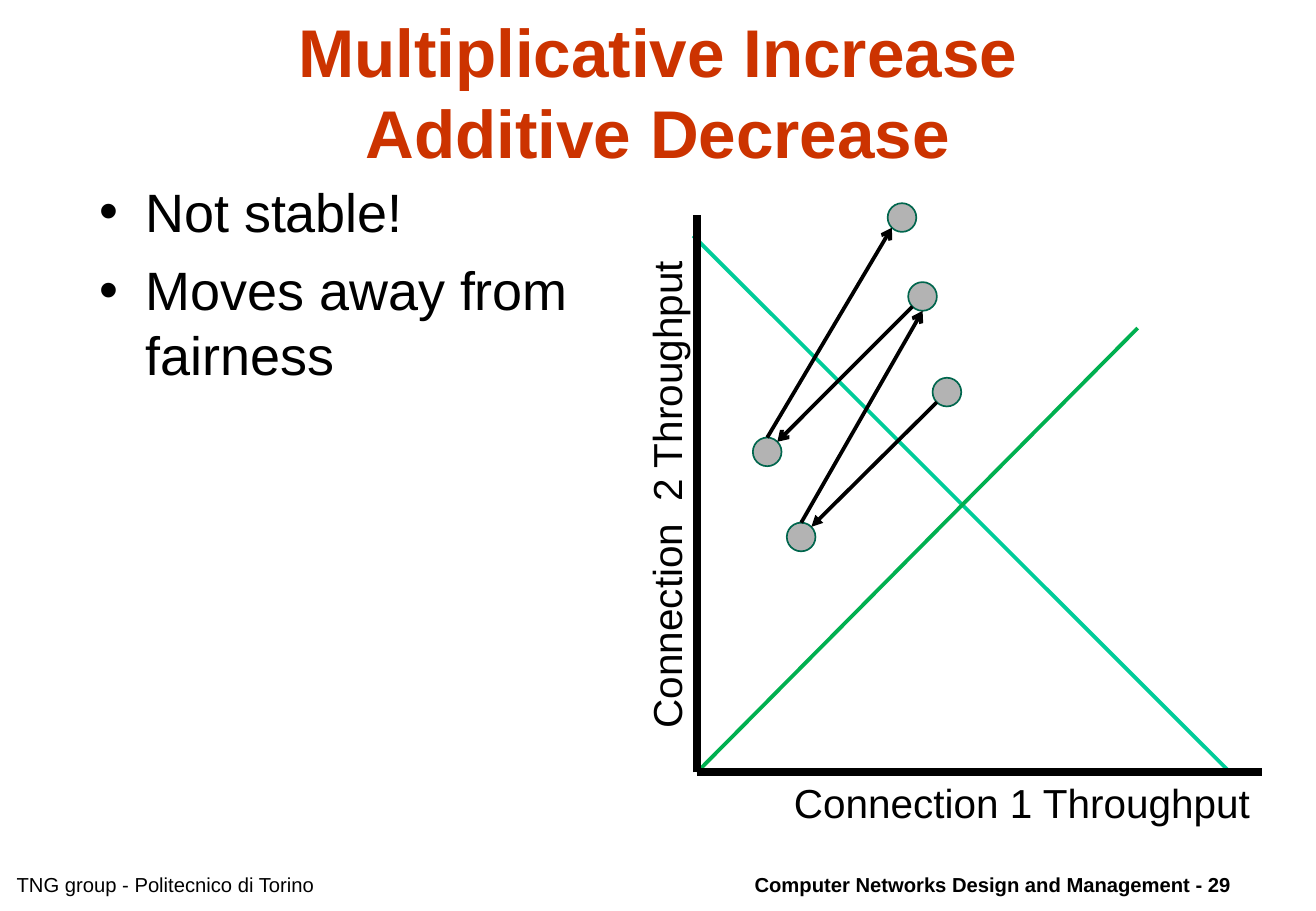
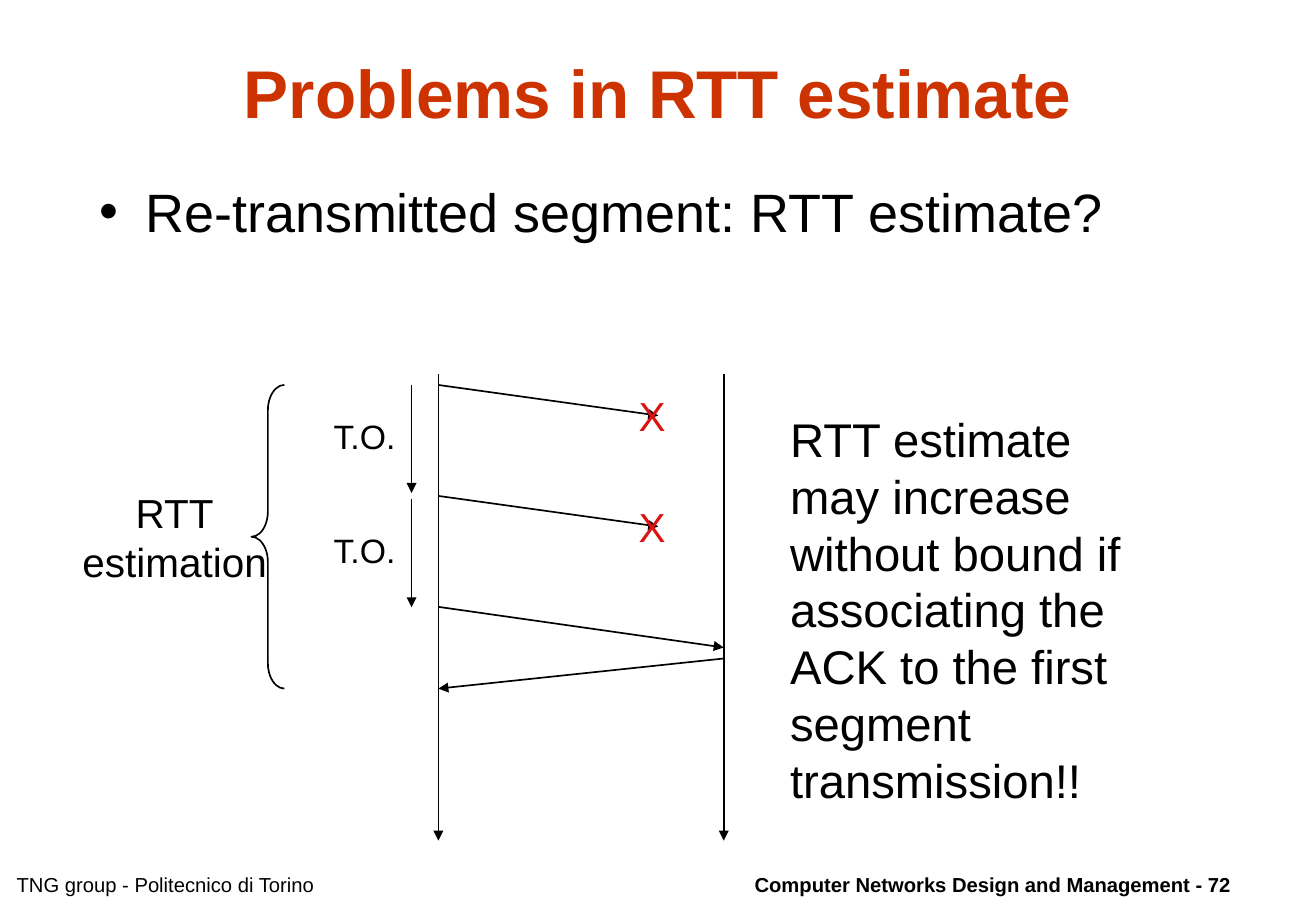
from dataclasses import dataclass
from enum import Enum
from math import sqrt
from typing import NamedTuple, Optional

from pptx import Presentation
from pptx.dml.color import RGBColor
from pptx.enum.shapes import MSO_CONNECTOR, MSO_SHAPE
from pptx.enum.text import MSO_ANCHOR, MSO_AUTO_SIZE, PP_ALIGN
from pptx.oxml.ns import qn
from pptx.shapes.autoshape import Shape
from pptx.shapes.connector import Connector
from pptx.slide import Slide
from pptx.text.text import TextFrame
from pptx.util import Cm, Pt
from lxml.etree import SubElement


@dataclass(frozen=True)
class Theme:
    font: str = "Arial"
    title: RGBColor = RGBColor(0xCC, 0x33, 0x00)
    ink: RGBColor = RGBColor(0x00, 0x00, 0x00)
    lost: RGBColor = RGBColor(0xDB, 0x13, 0x13)
    capacity: RGBColor = RGBColor(0x00, 0xCC, 0x99)
    fairness: RGBColor = RGBColor(0x00, 0xB0, 0x50)
    state_fill: RGBColor = RGBColor(0xB3, 0xB3, 0xB3)
    state_line: RGBColor = RGBColor(0x00, 0x66, 0x4D)
    title_size: float = 40
    body_size: float = 32
    remark_size: float = 28
    label_size: float = 24
    small_size: float = 20
    footer_size: float = 12
    thin: float = 1
    medium: float = 2.25
    thick: float = 4.5


THEME = Theme()


class Point(NamedTuple):
    x: float
    y: float


class Box(NamedTuple):
    left: float
    top: float
    width: float
    height: float


class Rim(Enum):
    """Direction from a circle's centre to a point on its rim."""
    TOP = Point(0, -1)
    BOTTOM = Point(0, 1)
    TOP_RIGHT = Point(sqrt(0.5), -sqrt(0.5))
    BOTTOM_LEFT = Point(-sqrt(0.5), sqrt(0.5))


class Move(NamedTuple):
    """Step from one state to the next."""
    leave: Rim
    arrive: Rim
    head: str


class Line(NamedTuple):
    start: Point
    end: Point
    color: RGBColor = THEME.ink
    width: float = THEME.thin
    head: Optional[str] = None


TITLE_BOX = Box(2.06, 0.64, 23.4, 2.54)
FOOTER_TOP, FOOTER_WIDTH, FOOTER_HEIGHT = 18.11, 11.35, 0.76
STATE_RADIUS = 0.3


def place(shape: Shape, box: Box) -> None:
    shape.left, shape.top, shape.width, shape.height = (Cm(value) for value in box)


def write(frame: TextFrame, *lines: str, size: float, color: RGBColor = THEME.ink,
          bold: bool = False, align: PP_ALIGN = PP_ALIGN.LEFT,
          space_before: float = 0) -> None:
    frame.auto_size = MSO_AUTO_SIZE.NONE
    for index, line in enumerate(lines):
        paragraph = frame.add_paragraph() if index else frame.paragraphs[0]
        paragraph.text = line
        paragraph.alignment = align
        paragraph.space_before = Pt(space_before)
        for run in paragraph.runs:
            run.font.name = THEME.font
            run.font.size = Pt(size)
            run.font.bold = bold
            run.font.color.rgb = color


def add_label(slide: Slide, box: Box, *lines: str, size: float = THEME.label_size,
              color: RGBColor = THEME.ink, bold: bool = False,
              align: PP_ALIGN = PP_ALIGN.LEFT, wrap: bool = False,
              rotation: float = 0) -> None:
    label = slide.shapes.add_textbox(*(Cm(value) for value in box))
    label.rotation = rotation
    write(label.text_frame, *lines, size=size, color=color, bold=bold, align=align)
    label.text_frame.word_wrap = wrap


def add_line(slide: Slide, line: Line) -> Connector:
    connector = slide.shapes.add_connector(
        MSO_CONNECTOR.STRAIGHT, *(Cm(value) for value in (*line.start, *line.end)))
    connector.line.color.rgb = line.color
    connector.line.width = Pt(line.width)
    properties = connector.element.spPr
    if line.head:
        SubElement(properties.find(qn("a:ln")), qn("a:tailEnd"), type=line.head)
    SubElement(properties, qn("a:effectLst"))
    return connector


def add_base_slide(presentation: Presentation, title: str, number: int,
                   body_box: Box, *bullets: str) -> Slide:
    """Adds a slide with its title, bullet list and footers."""
    slide = presentation.slides.add_slide(presentation.slide_layouts[1])
    heading, body = slide.shapes.title, slide.placeholders[1]
    place(heading, TITLE_BOX)
    write(heading.text_frame, title, size=THEME.title_size, color=THEME.title,
          bold=True, align=PP_ALIGN.CENTER)
    heading.text_frame.vertical_anchor = MSO_ANCHOR.MIDDLE
    place(body, body_box)
    write(body.text_frame, *bullets, size=THEME.body_size, space_before=8)
    add_label(slide, Box(14.66, FOOTER_TOP, FOOTER_WIDTH, FOOTER_HEIGHT),
              f"Computer Networks Design and Management - {number}",
              size=THEME.footer_size, bold=True, align=PP_ALIGN.RIGHT, wrap=True)
    add_label(slide, Box(0.1, FOOTER_TOP, FOOTER_WIDTH, FOOTER_HEIGHT),
              "TNG group - Politecnico di Torino", size=THEME.footer_size, wrap=True)
    return slide


def add_state(slide: Slide, center: Point) -> None:
    diameter = Cm(2 * STATE_RADIUS)
    state = slide.shapes.add_shape(
        MSO_SHAPE.OVAL, Cm(center.x - STATE_RADIUS), Cm(center.y - STATE_RADIUS),
        diameter, diameter)
    state.shadow.inherit = False
    state.fill.solid()
    state.fill.fore_color.rgb = THEME.state_fill
    state.line.color.rgb = THEME.state_line
    state.line.width = Pt(THEME.thin)


def rim_point(center: Point, rim: Rim) -> Point:
    return Point(center.x + STATE_RADIUS * rim.value.x,
                 center.y + STATE_RADIUS * rim.value.y)


def build_fairness_slide(presentation: Presentation) -> None:
    slide = add_base_slide(presentation, "Multiplicative Increase\vAdditive Decrease", 29,
                           Box(1.83, 3.61, 11.84, 13.13),
                           "Not stable!", "Moves away from fairness")
    add_label(slide, Box(16.36, 16.15, 10.06, 1.27), "Connection 1 Throughput")
    add_label(slide, Box(8.79, 9.7, 10.29, 1.27), "Connection  2 Throughput", rotation=270)

    origin = Point(14.58, 16.15)
    for line in (
        Line(Point(14.5, 4.93), Point(25.73, origin.y), THEME.capacity, THEME.medium),
        Line(origin, Point(23.8, 6.86), THEME.fairness, THEME.medium),
        Line(origin, Point(26.39, origin.y), width=THEME.thick),
        Line(origin, Point(origin.x, 4.5), width=THEME.thick),
    ):
        add_line(slide, line)

    states = (Point(19.81, 8.2), Point(16.76, 11.23), Point(19.3, 6.2),
              Point(16.05, 9.45), Point(18.87, 4.55))
    moves = (
        Move(Rim.BOTTOM_LEFT, Rim.TOP_RIGHT, "triangle"),
        Move(Rim.TOP, Rim.BOTTOM, "arrow"),
        Move(Rim.BOTTOM_LEFT, Rim.TOP_RIGHT, "arrow"),
        Move(Rim.TOP, Rim.BOTTOM_LEFT, "arrow"),
    )
    for state in states:
        add_state(slide, state)
    for before, after, move in zip(states, states[1:], moves):
        add_line(slide, Line(rim_point(before, move.leave), rim_point(after, move.arrive),
                             width=THEME.medium, head=move.head))


def build_estimate_slide(presentation: Presentation) -> None:
    slide = add_base_slide(presentation, "Problems in RTT estimate", 72,
                           Box(1.83, 3.61, 24.08, 2.44),
                           "Re-transmitted segment: RTT estimate?")
    sender, receiver, timer = 9.17, 15.14, 8.61
    first_send, send_step, timeout_step = 8.05, 2.32, 2.39
    last_send, ack_end = first_send + 2 * send_step, 14.4

    def add_arrow(start: Point, end: Point) -> None:
        add_line(slide, Line(start, end, head="triangle"))

    for host in (sender, receiver):
        add_arrow(Point(host, 7.82), Point(host, 17.58))
    for attempt in range(2):
        send = first_send + attempt * send_step
        add_arrow(Point(sender, send), Point(13.77, send + 0.64))
        add_label(slide, Box(13.11, send, 1.07, 1.27), "X", color=THEME.lost)
        timeout = first_send + attempt * timeout_step
        add_arrow(Point(timer, timeout), Point(timer, timeout + 2.26))
        add_label(slide, Box(6.73, timeout + 0.51, 1.88, 1.09), "T.O.",
                  size=THEME.small_size)
    add_arrow(Point(sender, last_send), Point(receiver, 13.54))
    add_arrow(Point(receiver, 13.77), Point(sender, ack_end))

    brace = slide.shapes.add_shape(MSO_SHAPE.LEFT_BRACE, Cm(5.26), Cm(first_send),
                                   Cm(0.69), Cm(ack_end - first_send))
    brace.shadow.inherit = False
    brace.adjustments[0] = 0.77
    brace.fill.background()
    brace.line.color.rgb = THEME.ink
    brace.line.width = Pt(THEME.thin)
    add_label(slide, Box(1.47, 10.08, 4.37, 2.29), "RTT", "estimation",
              align=PP_ALIGN.CENTER)
    add_label(slide, Box(16.28, 8.46, 8.48, 8.56),
              "RTT estimate may increase without bound if associating the ACK "
              "to the first segment transmission!!", size=THEME.remark_size, wrap=True)


def main() -> None:
    presentation = Presentation()
    presentation.slide_width, presentation.slide_height = Cm(27.53), Cm(19.05)
    build_fairness_slide(presentation)
    build_estimate_slide(presentation)
    presentation.save("out.pptx")


if __name__ == "__main__":
    main()
